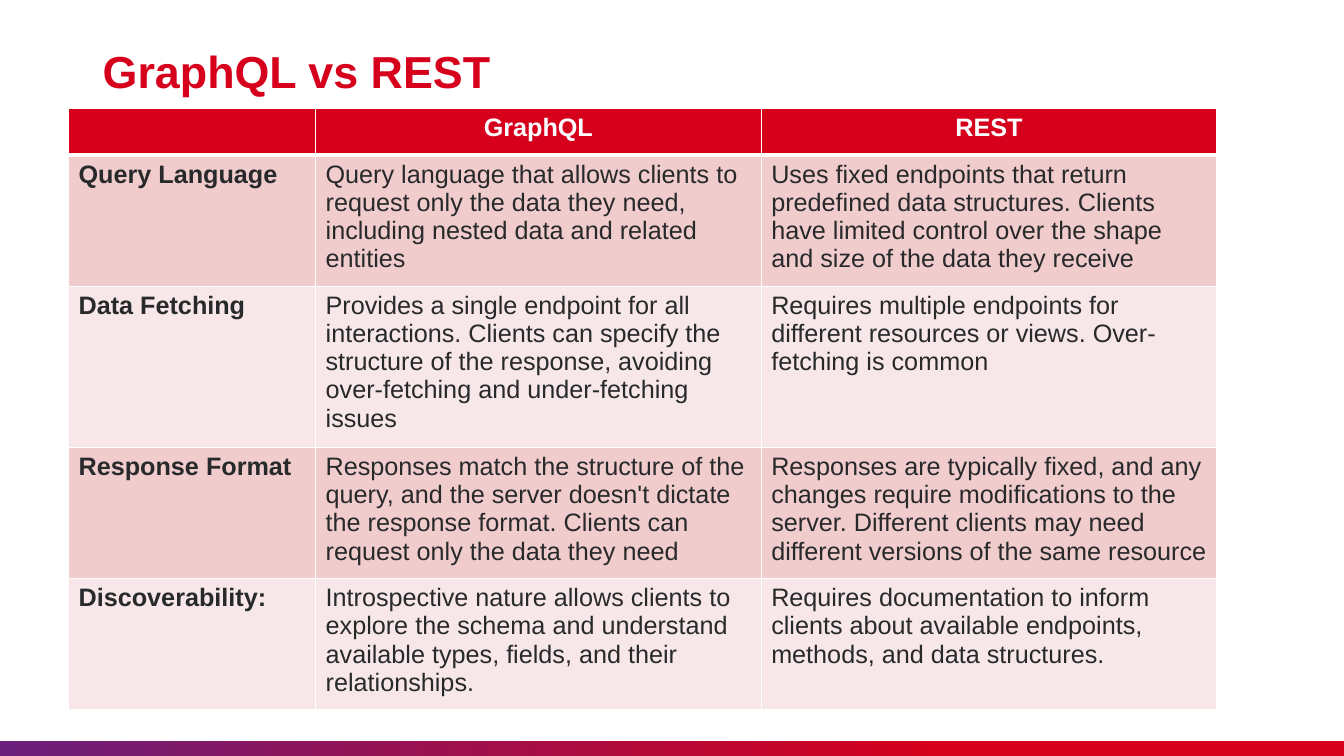
from lxml import etree
from pptx import Presentation
from pptx import util as u
from pptx.dml.color import RGBColor
from pptx.enum import shapes, text
from pptx.oxml.ns import qn

HUES = {"red": "D6001C", "plum": "6A1F7A", "white": "FFFFFF",
        "ink": "28292B", "rose": "F0CCCD", "blush": "F7E7E8"}
COLS = [2.45, 4.42, 4.52]
ROWS = [0.46, 1.22, 1.5, 1.22, 1.22]
DATA = [
    ["", "GraphQL", "REST"],
    ["Query Language",
     "Query language that allows clients to request only the data they need, "
     "including nested data and related entities",
     "Uses fixed endpoints that return predefined data structures. Clients have "
     "limited control over the shape and size of the data they receive"],
    ["Data Fetching",
     "Provides a single endpoint for all interactions. Clients can specify the "
     "structure of the response, avoiding over-fetching and under-fetching issues",
     "Requires multiple endpoints for different resources or views. "
     "Over-fetching is common"],
    ["Response Format",
     "Responses match the structure of the query, and the server doesn't dictate "
     "the response format. Clients can request only the data they need",
     "Responses are typically fixed, and any changes require modifications to the "
     "server. Different clients may need different versions of the same resource"],
    ["Discoverability:",
     "Introspective nature allows clients to explore the schema and understand "
     "available types, fields, and their relationships.",
     "Requires documentation to inform clients about available endpoints, "
     "methods, and data structures."],
]


def hue(name):
    """Return the named colour."""
    return RGBColor.from_string(HUES[name])


def style(para, size, color, bold):
    """Format every run of a paragraph."""
    for run in para.runs:
        font = run.font
        font.name, font.size, font.bold = "Arial", u.Pt(size), bold
        font.color.rgb = hue(color)


def edge(cell, side, width):
    """Draw one white border of a cell."""
    line = etree.SubElement(cell._tc.get_or_add_tcPr(), qn("a:ln" + side),
                            w=str(u.Pt(width)))
    fill = etree.SubElement(line, qn("a:solidFill"))
    etree.SubElement(fill, qn("a:srgbClr"), val=HUES["white"])


def add_bar(slide, box):
    """Draw the gradient footer bar."""
    bar = slide.shapes.add_shape(shapes.MSO_SHAPE.RECTANGLE, *map(u.Inches, box))
    bar.shadow.inherit = False
    bar.line.fill.background()
    bar.fill.gradient()
    bar.fill.gradient_angle = 0
    for stop, (place, color) in zip(bar.fill.gradient_stops,
                                    [(0, "plum"), (0.7, "red")]):
        stop.position = place
        stop.color.rgb = hue(color)


def add_title(slide, box):
    """Write the slide title."""
    frame = slide.shapes.add_textbox(*map(u.Inches, box)).text_frame
    frame.word_wrap = True
    frame.vertical_anchor = text.MSO_ANCHOR.MIDDLE
    frame.text = "GraphQL vs REST"
    para = frame.paragraphs[0]
    para.line_spacing = 0.9
    style(para, 32, "red", True)


def add_grid(slide, box):
    """Build the comparison table."""
    grid = slide.shapes.add_table(len(ROWS), len(COLS), *map(u.Inches, box)).table
    grid.horz_banding = False
    for col, width in zip(grid.columns, COLS):
        col.width = u.Inches(width)
    for r, (row, height) in enumerate(zip(grid.rows, ROWS)):
        row.height = u.Inches(height)
        head = r == 0
        shade = "red" if head else "rose" if r % 2 else "blush"
        for c, cell in enumerate(row.cells):
            for side in "LRTB":
                thick = (r, side) in [(0, "B"), (1, "T")]
                edge(cell, side, 3 if thick else 1)
            cell.fill.solid()
            cell.fill.fore_color.rgb = hue(shade)
            cell.text_frame.text = DATA[r][c]
            para = cell.text_frame.paragraphs[0]
            if head:
                para.alignment = text.PP_ALIGN.CENTER
            style(para, 18, "white" if head else "ink", head or c == 0)


def main():
    """Build and save the slide."""
    deck = Presentation()
    deck.slide_width, deck.slide_height = u.Inches(13.33), u.Inches(7.5)
    slide = deck.slides.add_slide(deck.slide_layouts[6])
    add_bar(slide, (0, 7.35, 13.33, 0.15))
    add_title(slide, (0.92, 0.44, 11.26, 0.59))
    add_grid(slide, (0.68, 1.08, sum(COLS), sum(ROWS)))
    deck.save("out.pptx")


if __name__ == "__main__":
    main()
